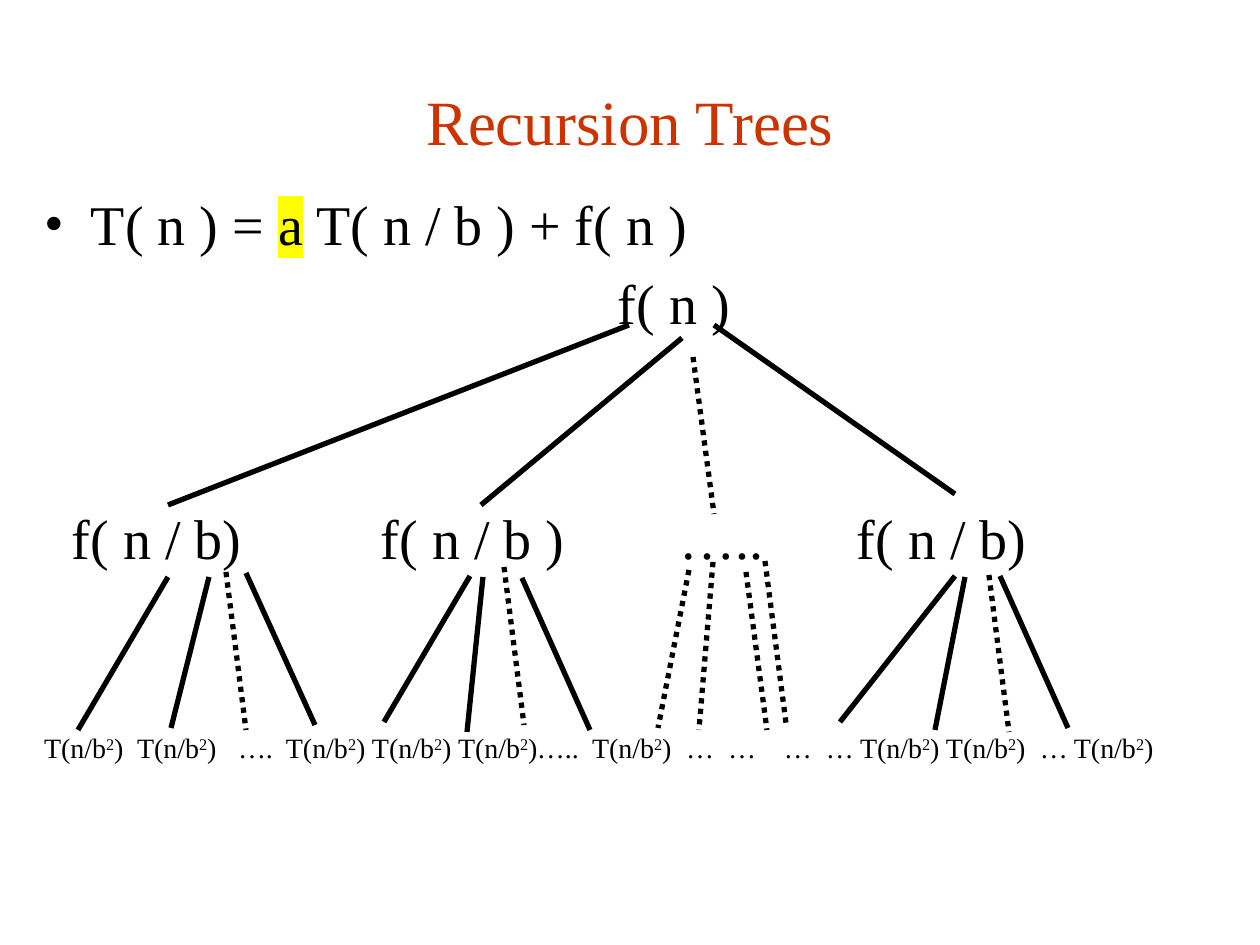
"""Build a slide showing a recursion tree for T(n) = a T(n/b) + f(n)."""
import pptx
import pptx.dml.color
import pptx.enum.dml
import pptx.enum.shapes
import pptx.enum.text
import pptx.oxml.ns
import pptx.util
from lxml import etree

BLACK = pptx.dml.color.RGBColor(0, 0, 0)
RED = pptx.dml.color.RGBColor(0xCC, 0x33, 0x00)
YELLOW = pptx.dml.color.RGBColor(0xFF, 0xFF, 0x00)
FONT = "Times New Roman"
PX = pptx.util.Inches(1) / 126
BULLET_INDENT = 47
SOLID = pptx.enum.dml.MSO_LINE.SOLID
DOTTED = pptx.enum.dml.MSO_LINE.ROUND_DOT

TITLE = [("Recursion Trees", None)]
RECURRENCE = [("T( n ) = ", None), ("a", "highlight"), (" T( n / b ) + f( n )", None)]
LEAF = [("T(n/b", None), ("2", "superscript"), (")", None)]

NODES = [
    (618, 269, "f( n )"),
    (72, 504, "f( n / b)"),
    (381, 504, "f( n / b )"),
    (679, 504, "….."),
    (857, 504, "f( n / b)"),
]
LEAF_TOP = 731
LEAF_LEFTS = [44, 137, 286, 372, 458, 592, 860, 946, 1074]
LEAF_GAPS = [
    (238, "…."), (537, "….."), (686, "…"), (728, "…"),
    (784, "…"), (826, "…"), (1040, "…"),
]

BRANCHES = {
    SOLID: [
        (629, 325, 168, 505), (682, 338, 481, 505), (714, 325, 955, 494),
        (168, 577, 78, 730), (209, 577, 171, 728), (246, 573, 315, 725),
        (470, 576, 384, 722), (483, 577, 467, 732), (522, 578, 590, 730),
        (955, 576, 840, 722), (965, 577, 935, 730), (1000, 576, 1068, 728),
    ],
    DOTTED: [
        (693, 357, 714, 514), (226, 572, 246, 730), (504, 567, 524, 725),
        (689, 570, 658, 728), (713, 562, 699, 730), (746, 572, 767, 730),
        (765, 561, 786, 723), (989, 575, 1009, 732),
    ],
}


def px(length):
    return pptx.util.Emu(round(length * PX))


def add_child(parent, tag, **attributes):
    return etree.SubElement(parent, pptx.oxml.ns.qn(tag), **attributes)


def add_text(slide, box, runs, size, color=BLACK, wrap=False):
    label = slide.shapes.add_textbox(*map(px, box))
    frame = label.text_frame
    frame_format = {
        "margin_left": 0, "margin_right": 0, "margin_top": 0,
        "margin_bottom": 0, "word_wrap": wrap,
    }
    for name, value in frame_format.items():
        setattr(frame, name, value)
    paragraph = frame.paragraphs[0]
    for text, effect in runs:
        run = paragraph.add_run()
        run.text = text
        for name, value in {"name": FONT, "size": pptx.util.Pt(size)}.items():
            setattr(run.font, name, value)
        run.font.color.rgb = color
        properties = run._r.get_or_add_rPr()
        if effect == "superscript":
            properties.set("baseline", "30000")
        elif effect == "highlight":
            highlight = add_child(properties, "a:highlight")
            add_child(highlight, "a:srgbClr", val=str(YELLOW))
            properties.find(pptx.oxml.ns.qn("a:solidFill")).addnext(highlight)
    return label


def add_bullet(paragraph):
    properties = paragraph._p.get_or_add_pPr()
    indent = px(BULLET_INDENT)
    properties.set("marL", str(indent))
    properties.set("indent", str(-indent))
    add_child(properties, "a:buFont", typeface=FONT)
    add_child(properties, "a:buChar", char="•")


def add_branch(slide, ends, dash):
    branch = slide.shapes.add_connector(
        pptx.enum.shapes.MSO_CONNECTOR.STRAIGHT, *map(px, ends))
    branch.line.color.rgb = BLACK
    for name, value in {"width": pptx.util.Pt(3), "dash_style": dash}.items():
        setattr(branch.line, name, value)
    add_child(branch._element.spPr, "a:effectLst")


def main():
    deck = pptx.Presentation()
    deck.slide_width, deck.slide_height = px(1260), px(945)
    slide = deck.slides.add_slide(deck.slide_layouts[6])

    title = add_text(slide, (94, 84, 1072, 73), TITLE, 36, RED, wrap=True)
    title.text_frame.vertical_anchor = pptx.enum.text.MSO_ANCHOR.MIDDLE
    title.text_frame.paragraphs[0].alignment = pptx.enum.text.PP_ALIGN.CENTER

    recurrence = add_text(slide, (44, 190, 1190, 64), RECURRENCE, 32, wrap=True)
    add_bullet(recurrence.text_frame.paragraphs[0])

    for left, top, text in NODES:
        add_text(slide, (left, top, 185, 64), [(text, None)], 32)
    for left in LEAF_LEFTS:
        add_text(slide, (left, LEAF_TOP, 80, 32), LEAF, 16)
    for left, text in LEAF_GAPS:
        add_text(slide, (left, LEAF_TOP, 42, 32), [(text, None)], 16)
    for dash, branches in BRANCHES.items():
        for ends in branches:
            add_branch(slide, ends, dash)

    deck.save("out.pptx")


if __name__ == "__main__":
    main()
